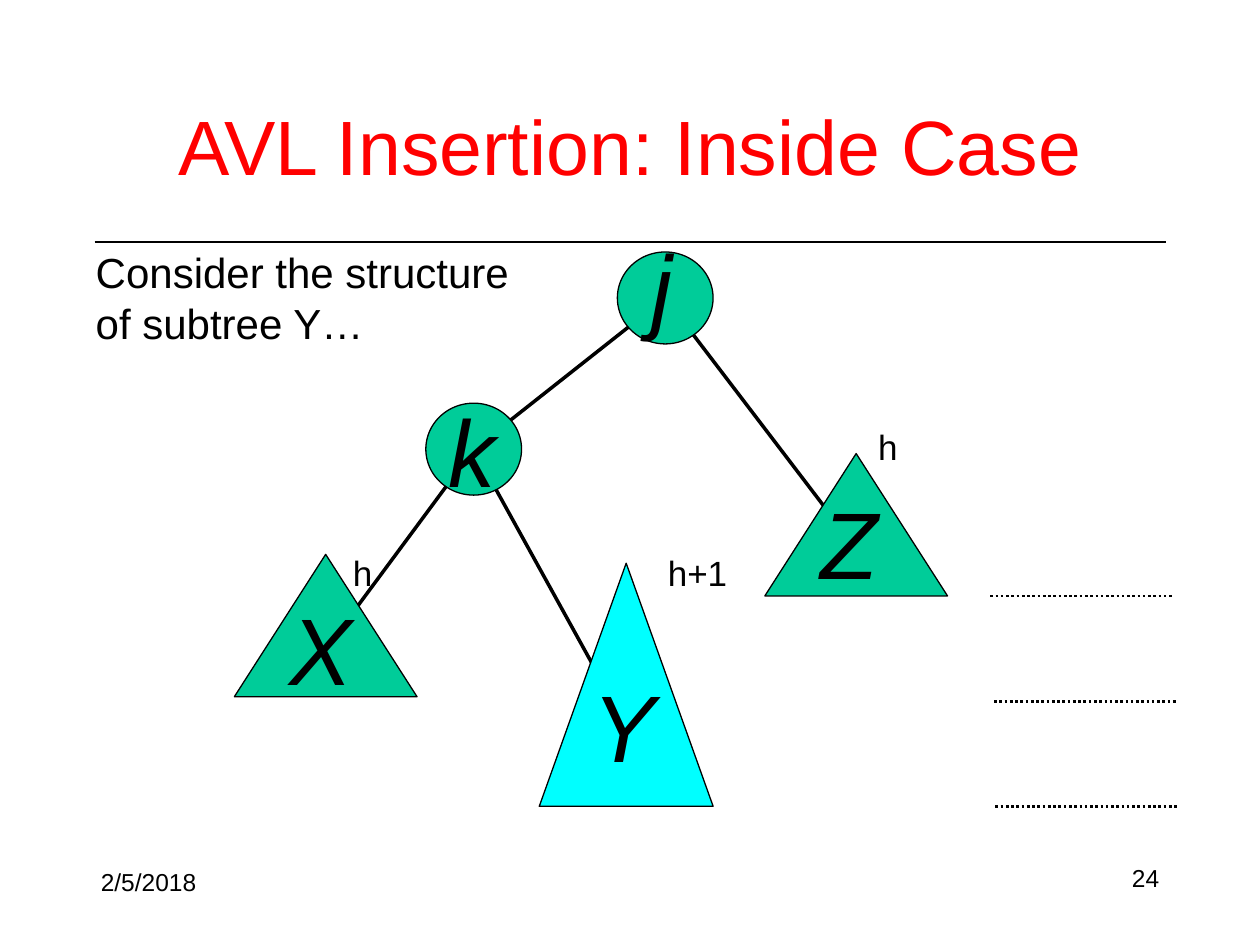
from pptx import Presentation
from pptx.dml.color import RGBColor
from pptx.enum.dml import MSO_LINE as Dash
from pptx.enum.shapes import MSO_CONNECTOR as Link, MSO_SHAPE as Geo
from pptx.enum.text import MSO_ANCHOR as Anchor, MSO_AUTO_SIZE as Fit, PP_ALIGN as Align
from pptx.oxml.ns import qn
from pptx.util import Emu, Pt
from lxml import etree

PX = 9144  # 100 px to the inch
BLACK, RED, GREEN, CYAN = "000000", "FF0000", "00CC99", "00FFFF"

# Tree parts: name -> (preset, fill, box, letter box)
NODES = {
    "j": (Geo.OVAL, GREEN, (490, 200, 76, 73), (512, 176, 47, 94)),
    "k": (Geo.OVAL, GREEN, (338, 320, 76, 73), (351, 307, 46, 94)),
    "X": (Geo.ISOSCELES_TRIANGLE, GREEN, (186, 440, 145, 113), (225, 464, 68, 94)),
    "Y": (Geo.ISOSCELES_TRIANGLE, CYAN, (428, 447, 138, 193), (465, 525, 69, 94)),
    "Z": (Geo.ISOSCELES_TRIANGLE, GREEN, (607, 360, 145, 113), (646, 380, 77, 94)),
}
EDGES = ["jk", "kX", "kY", "jZ"]
HEIGHTS = [("h", (692, 333, 36, 41), True), ("h+1", (525, 433, 59, 41), False),
           ("h", (275, 433, 27, 41), False)]
LEVELS = [(786, 473), (789, 557), (790, 640)]


def emu(*nums):
    return [Emu(round(n * PX)) for n in nums]


def rgb(code):
    return RGBColor.from_string(code)


def style(frame, text, size, color=BLACK, align=Align.LEFT, italic=False, wrap=True):
    frame.text = text
    frame.word_wrap = wrap
    frame.auto_size = Fit.SHAPE_TO_FIT_TEXT
    frame.margin_left = frame.margin_right = Pt(3.6)
    frame.margin_top = frame.margin_bottom = Pt(3.6)
    for para in frame.paragraphs:
        para.alignment = align
        for run in para.runs:
            font = run.font
            font.name, font.size, font.italic = "Arial", Pt(size), italic
            font.color.rgb = rgb(color)


def label(slide, text, box, size, **look):
    frame = slide.shapes.add_textbox(*emu(*box)).text_frame
    style(frame, text, size, **look)
    return frame.paragraphs[0]


def line(slide, start, end, width, dash=None):
    link = slide.shapes.add_connector(Link.STRAIGHT, *emu(*start, *end))
    link.line.color.rgb = rgb(BLACK)
    link.line.width = Pt(width)
    if dash:
        link.line.dash_style = dash
    etree.SubElement(link._element.spPr, qn("a:effectLst"))


def center(name):
    """Middle of an oval, or centroid of a triangle."""
    geo, _, (left, top, width, height), _ = NODES[name]
    part = 1 / 2 if geo == Geo.OVAL else 2 / 3
    return left + width / 2, top + height * part


def node(slide, name):
    geo, fill, box, spot = NODES[name]
    shape = slide.shapes.add_shape(geo, *emu(*box))
    shape.shadow.inherit = False
    shape.fill.solid()
    shape.fill.fore_color.rgb = rgb(fill)
    shape.line.color.rgb = rgb(BLACK)
    shape.line.width = Pt(0.75)
    label(slide, name, spot, 54, italic=True).space_before = Pt(32)


def head(slide, text):
    title = slide.shapes.title
    title.left, title.top, title.width, title.height = emu(73, 76, 855, 77)
    style(title.text_frame, text, 44, RED, Align.CENTER)
    title.text_frame.vertical_anchor = Anchor.MIDDLE


def main():
    deck = Presentation()
    deck.slide_width, deck.slide_height = emu(1000, 750)
    slide = deck.slides.add_slide(deck.slide_layouts[5])

    # Title and rule
    head(slide, "AVL Insertion: Inside Case")
    line(slide, (75, 192), (925, 192), 0.75)
    label(slide, "Consider the structure\nof subtree Y…", (71, 191, 349, 87), 24, wrap=False)

    # Tree: edges lie under the nodes
    for start, end in EDGES:
        line(slide, center(start), center(end), 2)
    for name in NODES:
        node(slide, name)

    # Heights and level marks
    for text, box, wrap in HEIGHTS:
        label(slide, text, box, 20, wrap=wrap)
    for left, top in LEVELS:
        line(slide, (left, top), (left + 145, top), 1.5, Dash.ROUND_DOT)

    # Footer
    label(slide, "2/5/2018", (75, 683, 208, 34), 14)
    label(slide, "24", (717, 683, 208, 32), 14, align=Align.RIGHT).line_spacing = 0.9

    deck.save("out.pptx")


if __name__ == "__main__":
    main()
